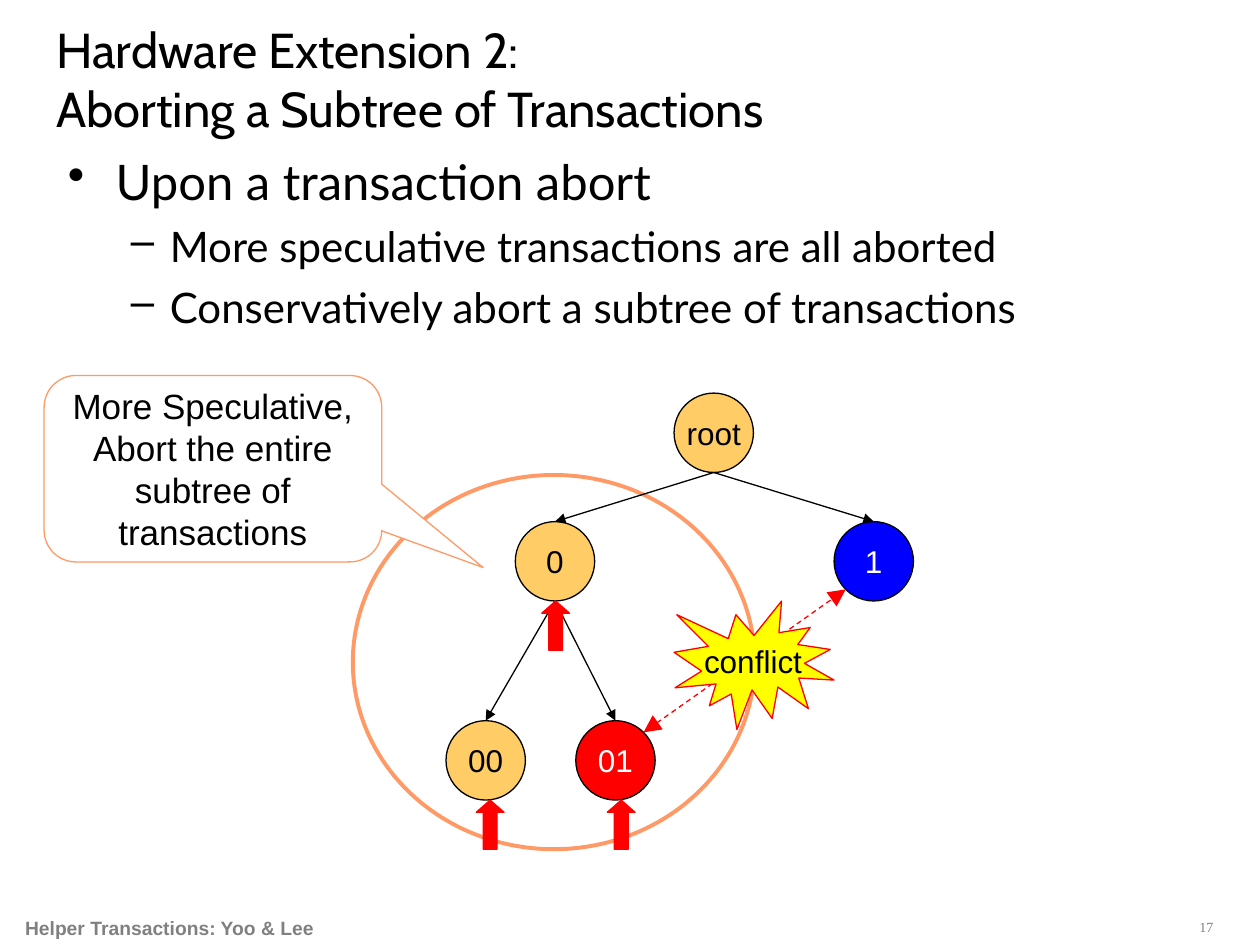
from dataclasses import dataclass
from math import sqrt

from lxml import etree
from pptx import Presentation
from pptx import util as u
from pptx.dml.color import RGBColor
from pptx.enum import dml, shapes, text
from pptx.oxml import ns

COLUMNS, ROWS = 100, 75          # grid of tenth-inch cells
CELL = u.Inches(0.1)
NODE = 6.3                       # node diameter in cells


@dataclass(frozen=True)
class Theme:
    black: str = "000000"
    white: str = "FFFFFF"
    grey: str = "808080"
    amber: str = "FFCC66"
    orange: str = "FF9966"
    red: str = "FF0000"
    blue: str = "0000FF"
    yellow: str = "FFFF00"
    title_font: str = "Cabin"
    body_font: str = "Lato"
    label_font: str = "Arial"
    number_font: str = "Times New Roman"
    heading: int = 28
    detail: int = 24
    callout: int = 20
    label: int = 18
    footer: int = 11
    number: int = 8
    thin: float = 0.75
    thick: float = 2.25


THEME = Theme()
# name: (centre column, top row, fill, text colour)
NODES = {
    "root": (56.65, 31.2, THEME.amber, THEME.black),
    "0": (44.05, 41.4, THEME.amber, THEME.black),
    "1": (69.35, 41.4, THEME.blue, THEME.white),
    "00": (38.55, 57.2, THEME.amber, THEME.black),
    "01": (48.85, 57.2, THEME.red, THEME.white),
}
EDGES = [("root", "0"), ("root", "1"), ("0", "00"), ("0", "01")]
# aborted node: shift of its arrow from the node's centre
ABORTED = {"01": 0.45, "00": 0.35, "0": 0.05}


def cells(*values):
    return [round(value * CELL) for value in values]


def add_run(paragraph, words, size, font, color=THEME.black, bold=False):
    run = paragraph.add_run()
    run.text = words
    run.font.size = u.Pt(size)
    run.font.name = font
    run.font.bold = bold
    run.font.color.rgb = RGBColor.from_string(color)


def add_text_box(slide, box, wrap=True, anchor=text.MSO_ANCHOR.TOP):
    frame = slide.shapes.add_textbox(*cells(*box)).text_frame
    frame.word_wrap = wrap
    frame.vertical_anchor = anchor
    return frame


def add_bullet(paragraph, mark, level, left, hanging):
    paragraph.level = level
    properties = paragraph._p.get_or_add_pPr()
    properties.set("marL", str(u.Inches(left)))
    properties.set("indent", str(-u.Inches(hanging)))
    bullet = etree.SubElement(properties, ns.qn("a:buChar"))
    bullet.set("char", mark)


def add_figure(slide, kind, box, fill, line, width=THEME.thin):
    shape = slide.shapes.add_shape(kind, *cells(*box))
    shape.shadow.inherit = False
    if fill:
        shape.fill.solid()
        shape.fill.fore_color.rgb = RGBColor.from_string(fill)
    else:
        shape.fill.background()
    shape.line.color.rgb = RGBColor.from_string(line)
    shape.line.width = u.Pt(width)
    return shape


def add_label(shape, lines, size=THEME.label, color=THEME.black, wrap=False):
    frame = shape.text_frame
    frame.word_wrap = wrap
    frame.vertical_anchor = text.MSO_ANCHOR.MIDDLE
    for index, words in enumerate(lines):
        paragraph = frame.add_paragraph() if index else frame.paragraphs[0]
        paragraph.alignment = text.PP_ALIGN.CENTER
        add_run(paragraph, words, size, THEME.label_font, color)


def add_arrow(slide, start, end, color, ends=("tailEnd",), dashed=False, head="med"):
    connector = slide.shapes.add_connector(
        shapes.MSO_CONNECTOR.STRAIGHT, *cells(*start, *end))
    connector.line.color.rgb = RGBColor.from_string(color)
    connector.line.width = u.Pt(THEME.thin)
    if dashed:
        connector.line.dash_style = dml.MSO_LINE.DASH
    outline = connector.line._get_or_add_ln()
    for name in ends:
        etree.SubElement(outline, ns.qn(f"a:{name}"), type="triangle", w=head, len=head)
    etree.SubElement(connector._element.spPr, ns.qn("a:effectLst"))


def add_headings(slide):
    title = add_text_box(slide, (3.5, 2.1, 90, 8.3), anchor=text.MSO_ANCHOR.MIDDLE)
    paragraph = title.paragraphs[0]
    add_run(paragraph, "Hardware Extension 2: ", THEME.heading, THEME.title_font)
    paragraph.add_line_break()
    add_run(paragraph, "Aborting a Subtree of Transactions", THEME.heading, THEME.title_font)

    body = add_text_box(slide, (4.4, 11.5, 91.3, 17.5))
    paragraph = body.paragraphs[0]
    add_bullet(paragraph, "•", 0, 0.38, 0.38)
    add_run(paragraph, "Upon a transaction abort", THEME.heading, THEME.body_font)
    for words in ("More speculative transactions are all aborted",
                  "Conservatively abort a subtree of transactions"):
        paragraph = body.add_paragraph()
        paragraph.space_before = u.Pt(6)
        add_bullet(paragraph, "–", 1, 0.81, 0.31)
        add_run(paragraph, words, THEME.detail, THEME.body_font)


def add_subtree_callout(slide):
    kinds = shapes.MSO_SHAPE
    add_figure(slide, kinds.OVAL, (28, 37.7, 31.9, 29.7), None, THEME.orange, THEME.thick)
    callout = add_figure(slide, kinds.ROUNDED_RECTANGULAR_CALLOUT,
                         (3.5, 29.8, 26.8, 14.8), THEME.white, THEME.orange)
    for index, value in enumerate((0.8, 0.53, 0.17)):
        callout.adjustments[index] = value
    add_label(callout, ["More Speculative,", "Abort the entire subtree of transactions"],
              THEME.callout, wrap=True)


def add_tree(slide):
    for name, (center, top, fill, color) in NODES.items():
        node = add_figure(slide, shapes.MSO_SHAPE.OVAL,
                          (center - NODE / 2, top, NODE, NODE), fill, THEME.black)
        add_label(node, [name], color=color)
    for parent, child in EDGES:
        x, y = NODES[parent][:2]
        add_arrow(slide, (x, y + NODE), NODES[child][:2], THEME.black)


def add_conflict(slide):
    # The arrow meets both circles on their diagonals
    reach = NODE / 2 / sqrt(2)
    (x1, y1), (x2, y2) = NODES["01"][:2], NODES["1"][:2]
    add_arrow(slide, (x1 + reach, y1 + NODE / 2 - reach),
              (x2 - reach, y2 + NODE / 2 + reach), THEME.red,
              ("headEnd", "tailEnd"), dashed=True, head="lg")
    burst = add_figure(slide, shapes.MSO_SHAPE.EXPLOSION1,
                       (53.5, 47.7, 12.7, 10.2), THEME.yellow, THEME.red)
    add_label(burst, ["conflict"])


def add_abort_marks(slide):
    width, height = 2.2, 3.9
    for name, shift in ABORTED.items():
        center, top = NODES[name][:2]
        mark = add_figure(slide, shapes.MSO_SHAPE.UP_ARROW,
                          (center + shift - width / 2, top + NODE, width, height),
                          THEME.red, THEME.red)
        mark.adjustments[0] = 0.5
        mark.adjustments[1] = 0.44


def add_footer(slide):
    footer = add_text_box(slide, (1, 72.2, 25.2, 2.9), wrap=False)
    add_run(footer.paragraphs[0], "Helper Transactions: Yoo & Lee",
            THEME.footer, THEME.label_font, THEME.grey, bold=True)
    paragraph = add_text_box(slide, (86, 72.4, 11.3, 4.2)).paragraphs[0]
    paragraph.alignment = text.PP_ALIGN.RIGHT
    add_run(paragraph, "17", THEME.number, THEME.number_font, THEME.grey)


def main():
    presentation = Presentation()
    presentation.slide_width, presentation.slide_height = cells(COLUMNS, ROWS)
    slide = presentation.slides.add_slide(presentation.slide_layouts[6])
    add_headings(slide)
    add_subtree_callout(slide)
    add_tree(slide)
    add_conflict(slide)
    add_abort_marks(slide)
    add_footer(slide)
    presentation.save("out.pptx")


if __name__ == "__main__":
    main()
